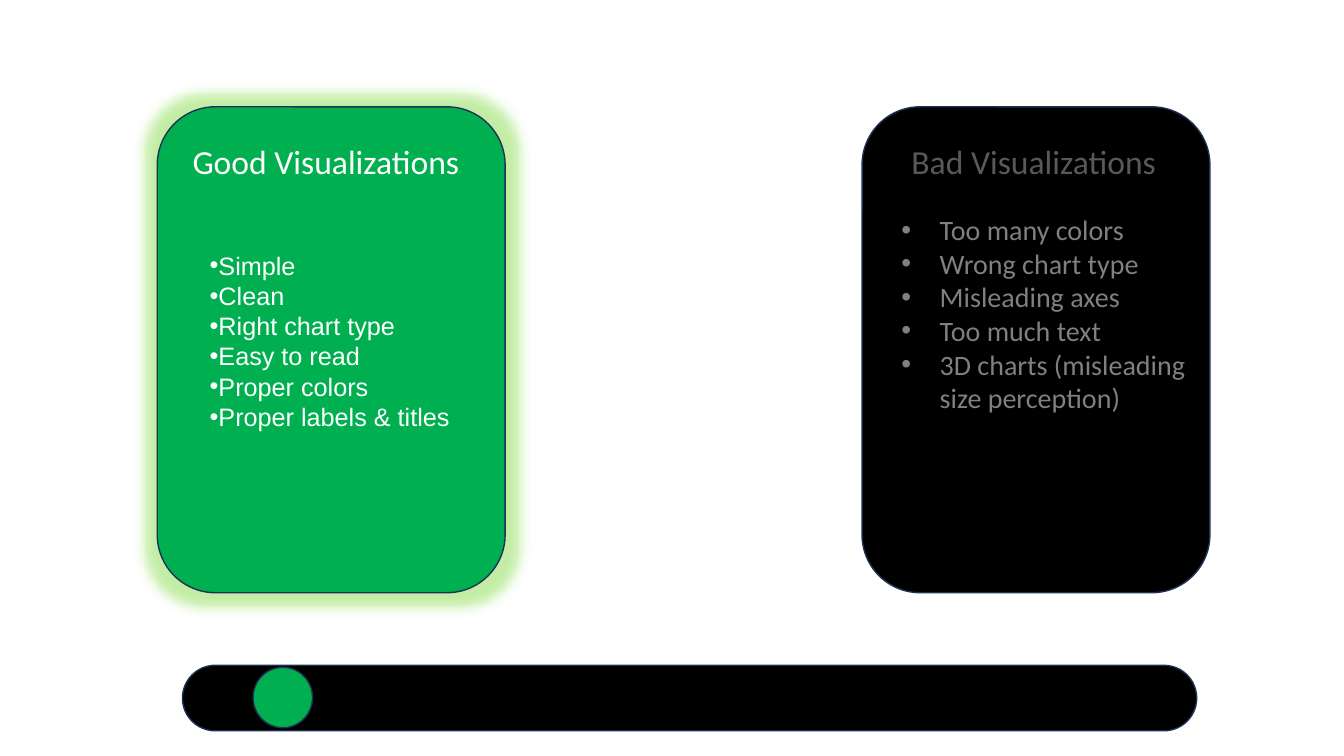
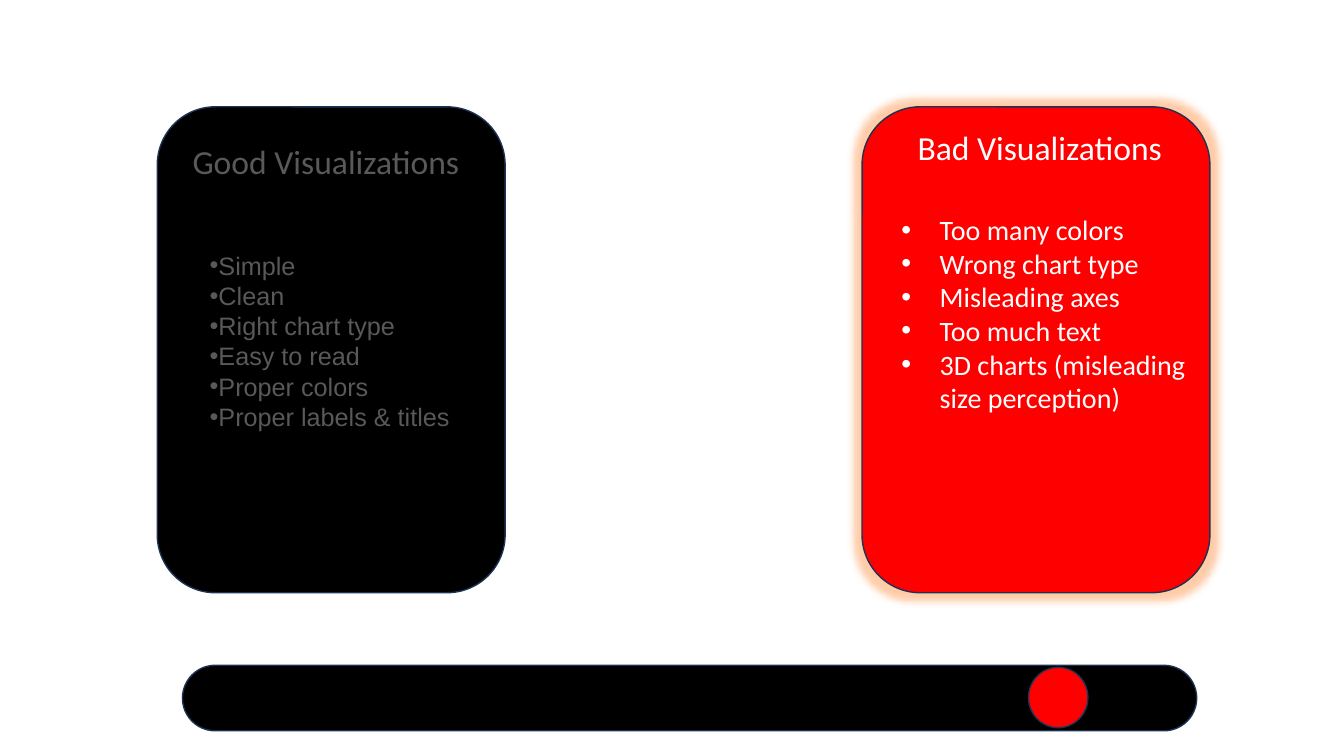
import dataclasses
import pptx
import pptx.util
import pptx.dml.color
import pptx.enum.shapes
import pptx.enum.text
import pptx.oxml
import pptx.oxml.ns
from lxml import etree

Kind = pptx.enum.shapes.MSO_SHAPE
Anchor = pptx.enum.text.MSO_ANCHOR
PX = 9144


@dataclasses.dataclass(frozen=True)
class Theme:
    good: str = "00B050"
    bad: str = "FF0000"
    good_glow: str = "69D41E"
    bad_glow: str = "FF8027"
    off: str = "000000"
    edge: str = "1E3256"
    bright: str = "FFFFFF"
    dim: str = "595959"
    soft: str = "808080"
    sans: str = "Calibri"
    plain: str = "Arial"
    head: int = 24
    list_bad: int = 20
    list_good: int = 18


THEME = Theme()
GOOD = ["Simple", "Clean", "Right chart type", "Easy to read",
        "Proper colors", "Proper labels & titles"]
BAD = ["Too many colors", "Wrong chart type", "Misleading axes",
       "Too much text", "3D charts (misleading size perception)"]


def px(num):
    return pptx.util.Emu(num * PX)


def color(code):
    return pptx.dml.color.RGBColor.from_string(code)


def tag(parent, name, **attrs):
    return etree.SubElement(parent, pptx.oxml.ns.qn(name), attrs)


def add_form(slide, kind, box, fill):
    shape = slide.shapes.add_shape(kind, *map(px, box))
    shape.shadow.inherit = False
    shape.fill.solid()
    shape.fill.fore_color.rgb = color(fill)
    shape.line.color.rgb = color(THEME.edge)
    shape.line.width = pptx.util.Pt(1)
    return shape


def add_glow(shape, code, size):
    effects = shape._element.spPr.find(pptx.oxml.ns.qn("a:effectLst"))
    glow = tag(effects, "a:glow", rad=str(pptx.util.Pt(size)))
    tint = tag(glow, "a:srgbClr", val=code)
    tag(tint, "a:alpha", val="40000")


def add_card(slide, left, fill, glow):
    card = add_form(slide, Kind.ROUNDED_RECTANGLE, (left, 106, 345, 482), fill)
    if glow:
        add_glow(card, *glow)


def add_slider(slide, left, fill):
    track = add_form(slide, Kind.ROUNDED_RECTANGLE, (181, 660, 1006, 65), THEME.off)
    track.adjustments[0] = 0.5
    add_form(slide, Kind.OVAL, (left, 662, 59, 60), fill)


def set_text(slide, index, box, lines, font, size, tint, anchor=Anchor.TOP, wrap=True):
    holder = slide.placeholders[index]
    holder.left, holder.top, holder.width, holder.height = map(px, box)
    slide.shapes._spTree.append(holder._element)
    frame = holder.text_frame
    frame.text = "\n".join(lines)
    frame.word_wrap = wrap
    frame.auto_size = pptx.enum.text.MSO_AUTO_SIZE.SHAPE_TO_FIT_TEXT
    frame.vertical_anchor = anchor
    for para in frame.paragraphs:
        para.space_before = pptx.util.Pt(0)
        for run in para.runs:
            run.font.name = font
            run.font.size = pptx.util.Pt(size)
            run.font.bold = False
            run.font.color.rgb = color(tint)
    return frame


def add_bullets(frame, indent):
    for para in frame.paragraphs:
        props = para._p.get_or_add_pPr()
        props.set("marL", str(px(indent)))
        props.set("indent", str(px(-indent)))
        tag(props, "a:buFont", typeface="Arial")
        tag(props, "a:buChar", char="•")


def add_good(slide, active):
    tint = THEME.bright if active else THEME.dim
    glow = (THEME.good_glow, 18) if active else None
    add_card(slide, 156, THEME.good if active else THEME.off, glow)
    set_text(slide, 1, (181, 135, 311, 50), ["Good Visualizations"],
             THEME.sans, THEME.head, tint)
    frame = set_text(slide, 2, (198, 242, 260, 192), GOOD, THEME.plain,
                     THEME.list_good, tint, Anchor.MIDDLE, False)
    add_bullets(frame, 0)


def add_bad(slide, active):
    glow = (THEME.bad_glow, 11) if active else None
    add_card(slide, 855, THEME.bad if active else THEME.off, glow)
    box = (900, 121, 277, 50) if active else (894, 135, 268, 50)
    set_text(slide, 3, box, ["Bad Visualizations"], THEME.sans, THEME.head,
             THEME.bright if active else THEME.dim)
    frame = set_text(slide, 4, (884, 206, 345, 212), BAD, THEME.sans,
                     THEME.list_bad, THEME.bright if active else THEME.soft)
    add_bullets(frame, 38)


def add_slide(deck, is_good):
    slide = deck.slides.add_slide(deck.slide_layouts.get_by_name("Comparison"))
    title = slide.shapes.title._element
    title.getparent().remove(title)
    add_good(slide, is_good)
    add_bad(slide, not is_good)
    if is_good:
        add_slider(slide, 251, THEME.good)
    else:
        add_slider(slide, 1020, THEME.bad)


def main():
    deck = pptx.Presentation()
    deck.slide_width, deck.slide_height = px(1333), px(750)
    for is_good in (True, False):
        add_slide(deck, is_good)
    deck.save("out.pptx")


if __name__ == "__main__":
    main()
